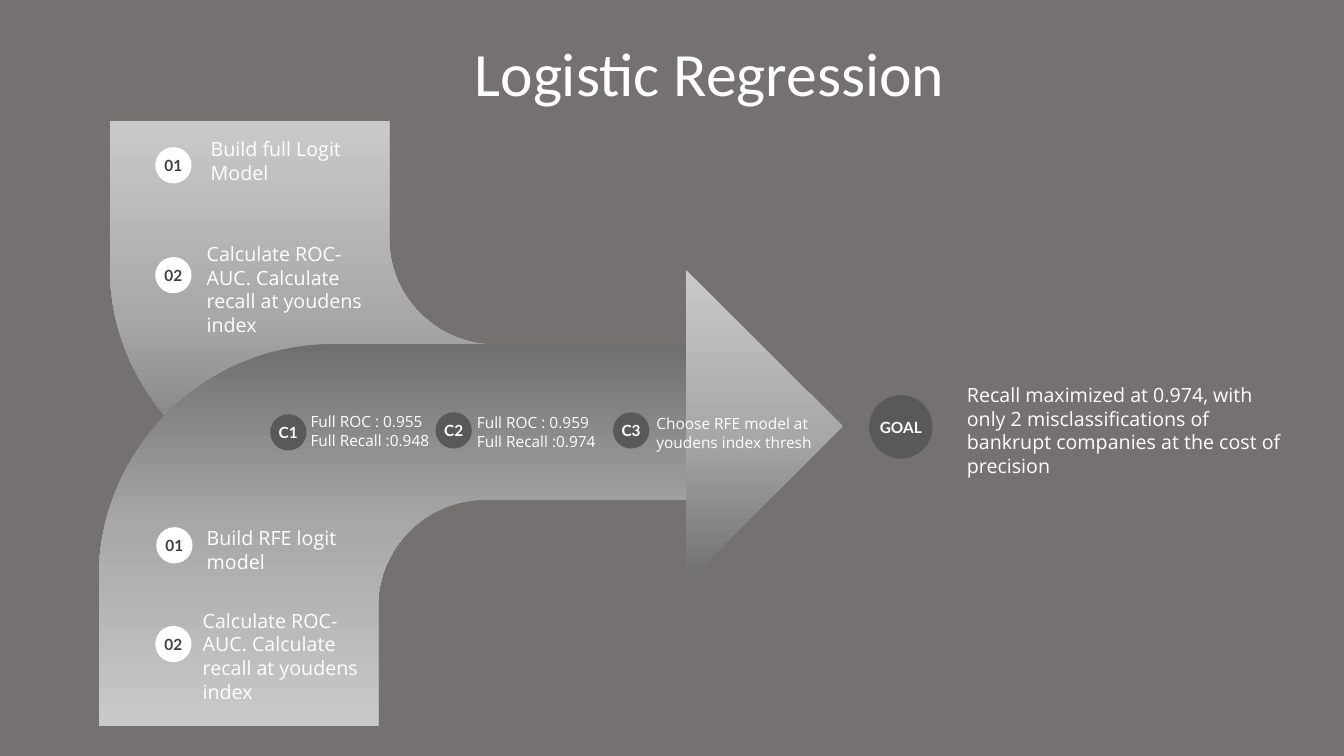
import copy
from dataclasses import dataclass

import lxml.etree
import pptx
import pptx.dml.color
import pptx.enum.shapes
import pptx.enum.text
import pptx.util
from pptx.oxml.ns import qn

Inches = pptx.util.Inches
RGBColor = pptx.dml.color.RGBColor
Align = pptx.enum.text.PP_ALIGN
Anchor = pptx.enum.text.MSO_ANCHOR
AutoSize = pptx.enum.text.MSO_AUTO_SIZE
Point = tuple[float, float]
Segment = tuple[Point, ...]  # one point for a line, three for a cubic curve

BACKGROUND = RGBColor(0x76, 0x71, 0x71)
WHITE = RGBColor(0xFF, 0xFF, 0xFF)
BADGE_GRAY = RGBColor(0x59, 0x59, 0x59)
NUMBER_GRAY = RGBColor(0x40, 0x40, 0x40)
GRADIENT_DARK = RGBColor(0x6F, 0x6F, 0x6F)
GRADIENT_MID = RGBColor(0xA8, 0xA8, 0xA8)
GRADIENT_LIGHT = RGBColor(0xC9, 0xC9, 0xC9)
UPWARD, DOWNWARD = 90, 270  # direction from dark to light
BADGE_SIZE = 0.36


@dataclass(frozen=True)
class Step:
    """A round badge with the text beside it, in inches."""
    label: str
    badge_at: Point
    text: str
    text_at: Point
    text_size: Point
    points: int = 14
    badge_size: float = BADGE_SIZE
    badge_fill: RGBColor = WHITE
    label_color: RGBColor = NUMBER_GRAY
    anchor: Anchor = Anchor.TOP


def checkpoint(label: str, badge_at: Point, text: str, text_at: Point, width: float) -> Step:
    return Step(label, badge_at, text, text_at, (width, 0.37), points=11,
                badge_fill=BADGE_GRAY, label_color=WHITE)


ROC_TASK = "Calculate ROC-AUC. Calculate recall at youdens index"
STEPS = [
    # Lower branch: RFE model
    Step("01", (1.55, 5.23), "Build RFE logit model", (2.05, 5.22), (1.72, 0.47)),
    Step("02", (1.54, 6.21), ROC_TASK, (2.01, 6.04), (1.72, 0.94)),
    # Checkpoints along the shared arrow
    checkpoint("C1", (2.68, 4.11), "Full ROC : 0.955\nFull Recall :0.948", (3.08, 4.09), 1.18),
    checkpoint("C2", (4.32, 4.09), "Full ROC : 0.959\nFull Recall :0.974", (4.73, 4.1), 1.18),
    checkpoint("C3", (6.08, 4.09), "Choose RFE model at\nyoudens index thresh",
               (6.51, 4.11), 2.22),
    # Upper branch: full model
    Step("01", (1.54, 1.46), "Build full Logit Model", (2.09, 1.36), (1.72, 0.47)),
    Step("02", (1.54, 2.55), ROC_TASK, (2.05, 2.4), (1.72, 0.94)),
    # Outcome
    Step("GOAL", (8.62, 3.92),
         "Recall maximized at 0.974, with only 2 misclassifications of bankrupt "
         "companies at the cost of precision",
         (9.59, 3.8), (3.14, 0.94), badge_size=0.63, badge_fill=BADGE_GRAY,
         label_color=WHITE, anchor=Anchor.MIDDLE),
]

# Branch outline from its outer corner, running down and then to the right
BRANCH: list[Segment] = [
    ((0, 0),),
    ((2.77, 0),),
    ((2.77, 1.17),),
    ((2.77, 1.75), (3.25, 2.22), (3.83, 2.22)),
    ((6.34, 2.22),),
    ((6.34, 3.75),),
    ((2.33, 3.75),),
    ((1.05, 3.75), (0, 2.72), (0, 1.45)),
]
ARROWHEAD: list[Segment] = [((6.8, 5.79),), ((6.8, 2.68),), ((8.36, 4.23),)]


def place(outline: list[Segment], left: float, start: float, stretch: float) -> list[Segment]:
    """Move an outline; a negative stretch turns it upside down."""
    return [tuple((left + x, start + y * stretch) for x, y in segment) for segment in outline]


def add_gradient_outline(slide, outline: list[Segment], direction: int) -> None:
    ends = [tuple(map(Inches, segment[-1])) for segment in outline]
    builder = slide.shapes.build_freeform(*ends[0])
    builder.add_line_segments(ends[1:], close=True)
    shape = builder.convert_to_shape()

    # Bend the curved segments
    lines = list(shape.element.spPr.iter(qn("a:lnTo")))
    for line, segment in zip(lines, outline[1:]):
        if len(segment) == 3:
            line.tag = qn("a:cubicBezTo")
            line.remove(line[0])
            for x, y in segment:
                lxml.etree.SubElement(line, qn("a:pt"), x=str(Inches(x) - shape.left),
                                      y=str(Inches(y) - shape.top))

    shape.shadow.inherit = False
    shape.line.fill.background()
    shape.fill.gradient()
    shape.fill.gradient_angle = direction
    # A third gradient stop goes between the two default ones
    stop_list = shape.element.spPr.find(qn("a:gradFill")).find(qn("a:gsLst"))
    stop_list.insert(1, copy.deepcopy(stop_list[0]))
    colors = (GRADIENT_DARK, GRADIENT_MID, GRADIENT_LIGHT)
    for stop, color, position in zip(shape.fill.gradient_stops, colors, (0, 0.48, 1)):
        stop.color.rgb = color
        stop.position = position


def format_text(frame, font_name: str, points: int, color: RGBColor, align: Align,
                bold: bool = False) -> None:
    for paragraph in frame.paragraphs:
        paragraph.alignment = align
        for run in paragraph.runs:
            run.font.name = font_name
            run.font.size = pptx.util.Pt(points)
            run.font.bold = bold
            run.font.color.rgb = color


def add_step(slide, step: Step) -> None:
    # Text
    box = slide.shapes.add_textbox(*map(Inches, step.text_at + step.text_size))
    frame = box.text_frame
    frame.text = step.text
    frame.word_wrap = True
    frame.auto_size = AutoSize.SHAPE_TO_FIT_TEXT
    frame.vertical_anchor = step.anchor
    frame.margin_left = frame.margin_right = frame.margin_top = frame.margin_bottom = 0
    format_text(frame, "Open Sans", step.points, WHITE, Align.LEFT)

    # Badge
    size = (step.badge_size, step.badge_size)
    badge = slide.shapes.add_shape(pptx.enum.shapes.MSO_SHAPE.OVAL,
                                   *map(Inches, step.badge_at + size))
    badge.shadow.inherit = False
    badge.fill.solid()
    badge.fill.fore_color.rgb = step.badge_fill
    badge.line.fill.background()
    label = badge.text_frame
    label.text = step.label
    label.margin_left = label.margin_right = 0
    label.vertical_anchor = Anchor.MIDDLE
    format_text(label, "Lato", 11, step.label_color, Align.CENTER, bold=True)


def main() -> None:
    deck = pptx.Presentation()
    deck.slide_width, deck.slide_height = Inches(13.33), Inches(7.5)
    slide = deck.slides.add_slide(deck.slide_layouts[5])
    slide.background.fill.solid()
    slide.background.fill.fore_color.rgb = BACKGROUND

    # Title
    title = slide.shapes.title
    title.left, title.top, title.width, title.height = map(Inches, (0, 0.3, 14.08, 0.78))
    title.text_frame.text = "Logistic Regression"
    title.text_frame.auto_size = AutoSize.NONE
    title.text_frame.vertical_anchor = Anchor.TOP
    format_text(title.text_frame, "Calibri", 44, WHITE, Align.CENTER)

    # Upper branch, mirrored lower branch and arrowhead
    add_gradient_outline(slide, place(BRANCH, 1.09, 1.2, 1), UPWARD)
    add_gradient_outline(slide, place(BRANCH, 0.98, 7.2, -1.01), DOWNWARD)
    add_gradient_outline(slide, ARROWHEAD, UPWARD)

    # Steps, checkpoints and goal
    for step in STEPS:
        add_step(slide, step)

    deck.save("out.pptx")


if __name__ == "__main__":
    main()
